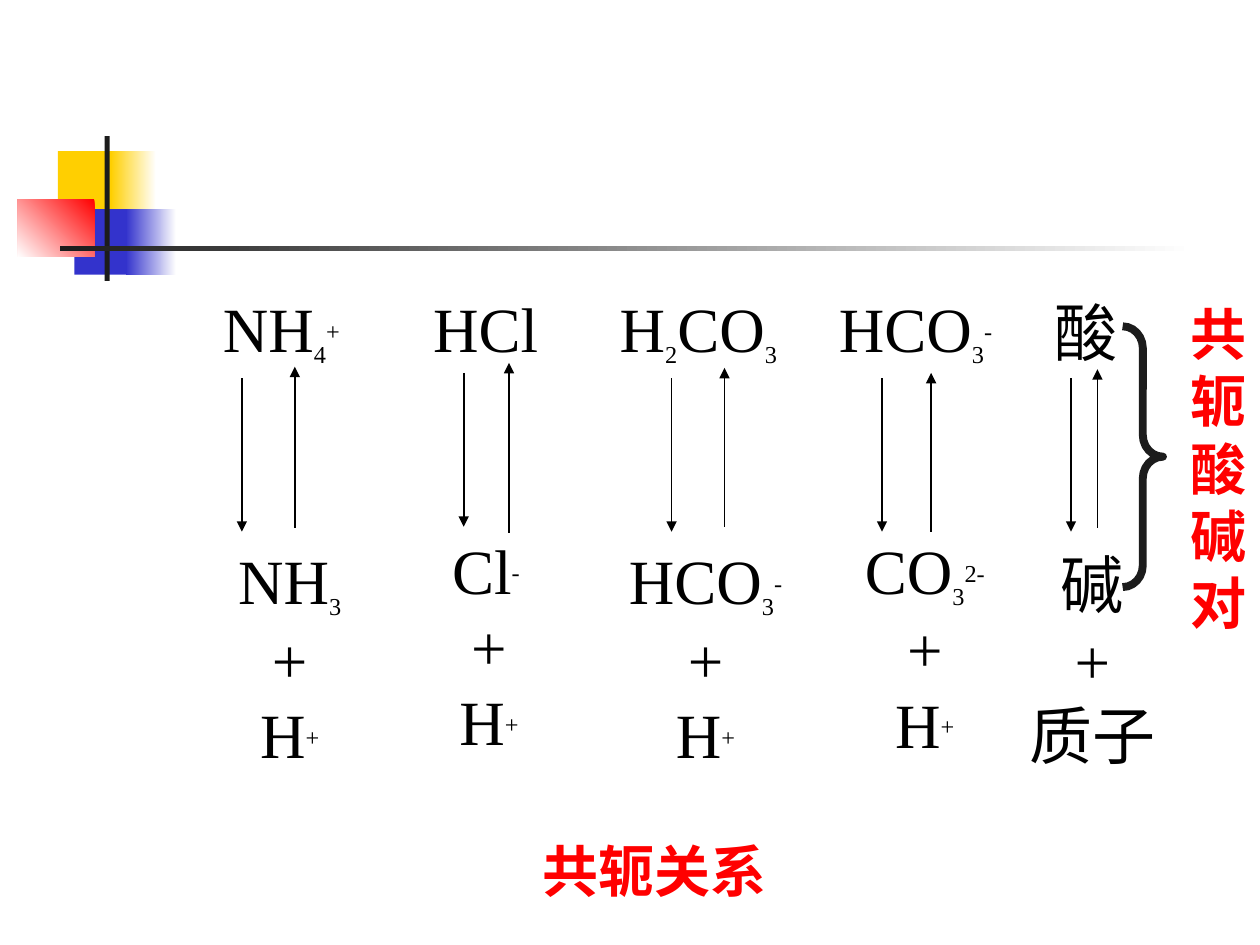
from lxml import etree
from pptx import Presentation
from pptx.dml.color import RGBColor
from pptx.enum.shapes import MSO_CONNECTOR, MSO_SHAPE
from pptx.enum.text import MSO_AUTO_SIZE, PP_ALIGN
from pptx.oxml.ns import qn
from pptx.util import Inches, Pt

RECTANGLE = MSO_SHAPE.RECTANGLE
BRACE = MSO_SHAPE.RIGHT_BRACE
STRAIGHT = MSO_CONNECTOR.STRAIGHT
LEFT, CENTER = PP_ALIGN.LEFT, PP_ALIGN.CENTER
GROW = MSO_AUTO_SIZE.SHAPE_TO_FIT_TEXT
FONT = "Times New Roman"
BLACK, RED, WHITE, DARK = "000000", "FF0000", "FFFFFF", "1C1C1C"
YELLOW, BLUE = "FFCF01", "3333CC"
SUB, SUPER = -25, 30
PLUS = ["+"]
PROTON = ["H", ("+", SUPER)]

DECORATION = [
    ((0.46, 1.2, 0.48, 0.52), [YELLOW], 0),
    ((0.88, 1.2, 0.36, 0.52), [WHITE, YELLOW], 180),
    ((0.59, 1.66, 0.46, 0.52), [BLUE], 0),
    ((1, 1.66, 0.4, 0.52), [WHITE, BLUE], 180),
    ((0.14, 1.58, 0.61, 0.46), [RED, WHITE], 225),
    ((0.83, 1.08, 0.04, 1.15), [DARK], 0),
    ((0.48, 1.95, 9, 0.04), [WHITE, DARK], 180),
]

ACIDS = [
    ((1.67, 2.25, 1.15, 1.12), ["NH", ("4", SUB), ("+", SUPER)]),
    ((3.34, 2.25, 1.06, 0.7), ["HCl"]),
    ((4.82, 2.25, 1.47, 0.72), ["H", ("2", SUB), "CO", ("3", SUB)]),
    ((6.56, 2.25, 1.44, 0.72), ["HCO", ("3", SUB), ("-", SUPER)]),
    ((8.27, 2.28, 0.72, 0.7), ["酸"]),
]

BASES = [
    ((1.78, 4.25, 1.04, 1.92), ["NH", ("3", SUB)], PROTON, False),
    ((3.42, 4.17, 0.92, 2.3), ["Cl", ("- ", SUPER)], PROTON, True),
    ((4.88, 4.25, 1.44, 1.92), ["HCO", ("3", SUB), ("-", SUPER)], PROTON, False),
    ((6.75, 4.17, 1.18, 1.92), ["CO", ("3", SUB), ("2-", SUPER)], PROTON, False),
    ((8.07, 4.28, 1.2, 1.9), ["碱"], ["质子"], True),
]

ARROWS = [
    ((1.92, 3, 4.22), (2.34, 4.19, 2.91)),
    ((3.68, 2.96, 4.18), (4.04, 4.23, 2.88)),
    ((5.33, 3, 4.22), (5.75, 4.18, 2.92)),
    ((7, 3, 4.22), (7.39, 4.22, 2.96)),
    ((8.5, 3, 4.22), (8.71, 4.19, 2.93)),
]


def color(value):
    return RGBColor.from_string(value)


def add_block(page, place, colors, angle):
    block = page.shapes.add_shape(RECTANGLE, *map(Inches, place))
    block.shadow.inherit = False
    block.line.fill.background()
    if len(colors) == 1:
        block.fill.solid()
        block.fill.fore_color.rgb = color(colors[0])
        return
    block.fill.gradient()
    block.fill.gradient_angle = angle
    for stop, value in zip(block.fill.gradient_stops, colors):
        stop.color.rgb = color(value)


def add_span(para, part):
    text, shift = part if isinstance(part, tuple) else (part, 0)
    span = para.add_run()
    span.text = text
    if shift:
        span.font.size = Pt(24)
        span.font._element.set("baseline", str(shift * 1000))


def add_text(page, place, lines, size=36, ink=BLACK, bold=False, align=LEFT, wrap=False):
    frame = page.shapes.add_textbox(*map(Inches, place)).text_frame
    frame.word_wrap = wrap
    frame.auto_size = GROW
    for number, parts in enumerate(lines):
        para = frame.add_paragraph() if number else frame.paragraphs[0]
        para.alignment = align
        para.font.name = FONT
        para.font.size = Pt(size)
        para.font.bold = bold
        para.font.color.rgb = color(ink)
        for part in parts:
            add_span(para, part)


def add_arrow(page, x, start, end):
    arrow = page.shapes.add_connector(
        STRAIGHT, Inches(x), Inches(start), Inches(x), Inches(end))
    arrow.line.color.rgb = color(BLACK)
    arrow.line.width = Pt(1)
    etree.SubElement(arrow.line._get_or_add_ln(), qn("a:tailEnd"), type="triangle")
    etree.SubElement(arrow._element.spPr, qn("a:effectLst"))


def add_brace(page, place):
    brace = page.shapes.add_shape(BRACE, *map(Inches, place))
    brace.shadow.inherit = False
    brace.adjustments[0] = 0.54
    brace.fill.background()
    brace.line.color.rgb = color(DARK)
    brace.line.width = Pt(4.5)


def main():
    deck = Presentation()
    deck.slide_width, deck.slide_height = Inches(10), Inches(7.5)
    page = deck.slides.add_slide(deck.slide_layouts[6])
    for place, colors, angle in DECORATION:
        add_block(page, place, colors, angle)
    for place, formula in ACIDS:
        add_text(page, place, [formula])
    for place, formula, proton, wrap in BASES:
        add_text(page, place, [formula, PLUS, proton], align=CENTER, wrap=wrap)
    for pair in ARROWS:
        for x, start, end in pair:
            add_arrow(page, x, start, end)
    add_brace(page, (8.91, 2.59, 0.32, 2.07))
    add_text(page, (9.35, 2.33, 0.64, 2.77), "共轭酸碱对", 32, RED, True)
    add_text(page, (4.21, 6.59, 2.44, 0.64), [["共轭关系"]], 32, RED, True, wrap=True)
    deck.save("out.pptx")


if __name__ == "__main__":
    main()
